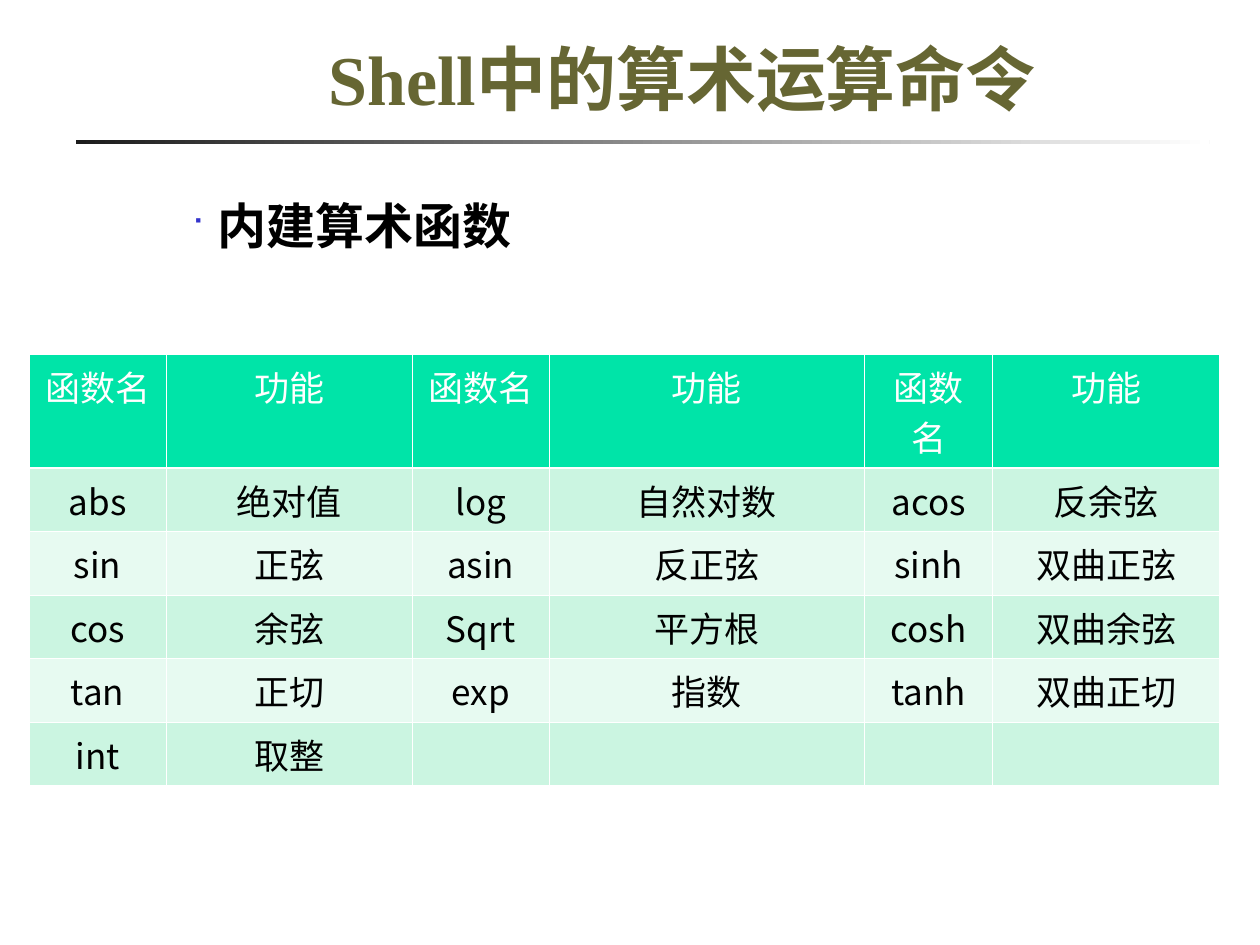
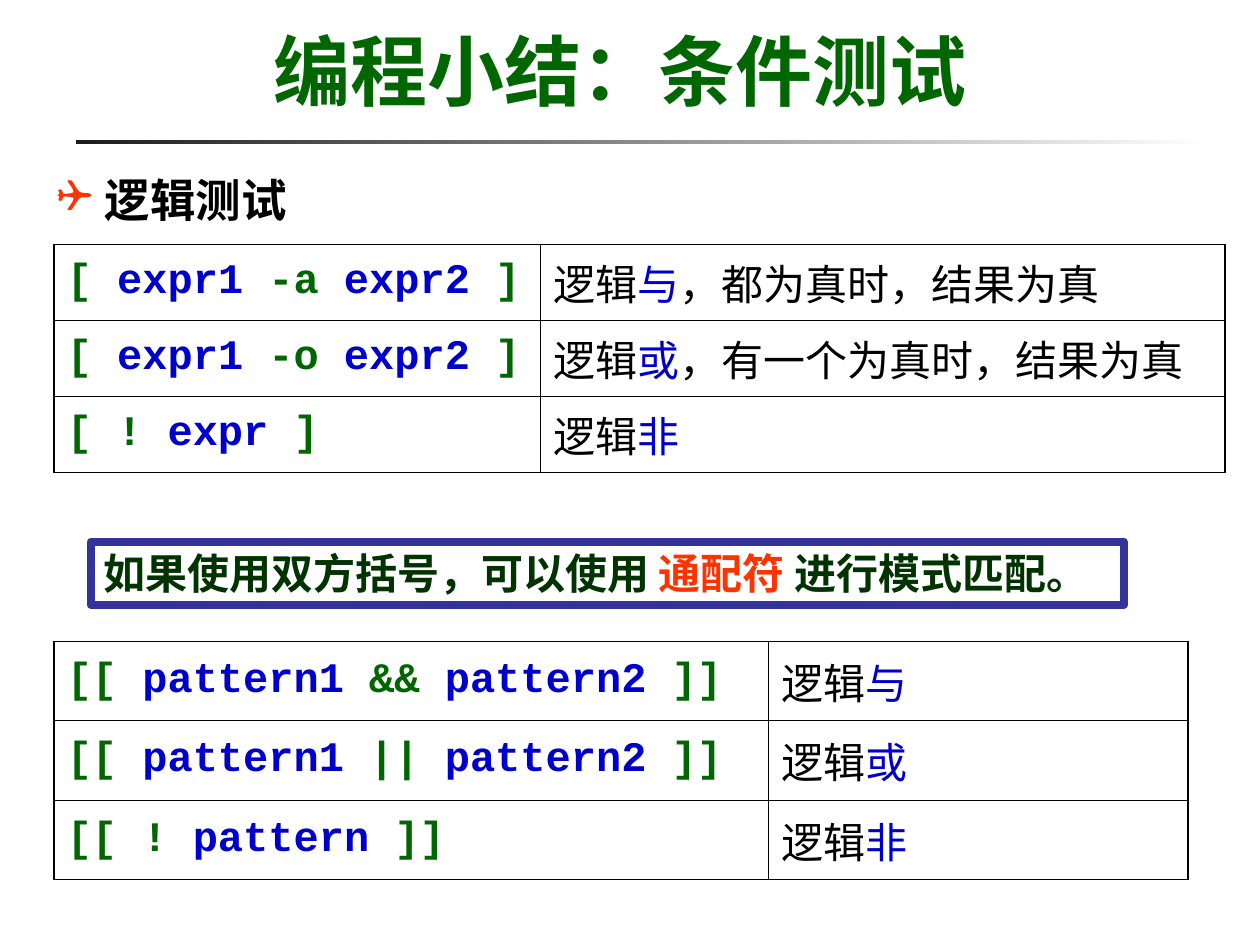
from dataclasses import dataclass
from itertools import cycle
from typing import NamedTuple, Sequence

from lxml import etree
from pptx import Presentation
from pptx.dml.color import RGBColor
from pptx.enum import shapes, text
from pptx.oxml import ns
from pptx.util import Inches, Pt


@dataclass(frozen=True)
class Theme:
    black: str = "000000"
    white: str = "FFFFFF"
    rule: str = "1C1C1C"
    olive: str = "666633"
    green: str = "006600"
    dark_green: str = "003300"
    blue: str = "0000CC"
    bullet_blue: str = "3333CC"
    frame_blue: str = "333399"
    red: str = "FF3300"
    header: str = "00E4A8"
    band_dark: str = "CBF5E1"
    band_light: str = "E7FAF1"
    sans: str = "Noto Sans CJK SC"
    serif: str = "Times New Roman"
    mono: str = "Courier New"
    heading: str = "Roboto"
    thin: float = 0.45
    outline: float = 1.08
    header_line: float = 1.47
    frame_line: float = 4.5
    cell_size: int = 20
    code_size: int = 24
    logic_size: int = 26
    heading_size: int = 28
    title_size: int = 40
    summary_title_size: int = 44


T = Theme()


class Box(NamedTuple):
    left: float
    top: float
    width: float
    height: float

    def emu(self) -> tuple:
        return tuple(Inches(v) for v in self)


class Bullet(NamedTuple):
    char: str
    color: str
    indent: float
    percent: int = 100


class LogicTable(NamedTuple):
    box: Box
    columns: Sequence[float]
    rows: Sequence[tuple]  # (code parts, description parts)


FUNCTIONS = [
    ("函数名", "功能", "函数名", "功能", "函数名", "功能"),
    ("abs", "绝对值", "log", "自然对数", "acos", "反余弦"),
    ("sin", "正弦", "asin", "反正弦", "sinh", "双曲正弦"),
    ("cos", "余弦", "Sqrt", "平方根", "cosh", "双曲余弦"),
    ("tan", "正切", "exp", "指数", "tanh", "双曲正切"),
    ("int", "取整", "", "", "", ""),
]

LOGIC_TABLES = [
    LogicTable(Box(0.43, 5.09, 9, 1.89), (5.67, 3.33), [
        (("[[ ", "pattern1 ", "&& ", "pattern2 ", "]]"), ("逻辑", "与")),
        (("[[ ", "pattern1 ", "|| ", "pattern2 ", "]]"), ("逻辑", "或")),
        (("[[ ! ", "pattern ", "]]"), ("逻辑", "非")),
    ]),
    LogicTable(Box(0.43, 1.94, 9.29, 1.81), (3.86, 5.43), [
        (("[ ", "expr1 ", "-a ", "expr2 ", "]"), ("逻辑", "与", "，都为真时，结果为真")),
        (("[ ", "expr1 ", "-o ", "expr2 ", "]"), ("逻辑", "或", "，有一个为真时，结果为真")),
        (("[ ! ", "expr ", "]"), ("逻辑", "非")),
    ]),
]


def rgb(color: str) -> RGBColor:
    return RGBColor.from_string(color)


def add_bullet(p, bullet: Bullet) -> None:
    pPr = p._p.get_or_add_pPr()
    pPr.set("marL", str(Inches(bullet.indent)))
    pPr.set("indent", str(-Inches(bullet.indent)))
    color = etree.SubElement(pPr, ns.qn("a:buClr"))
    etree.SubElement(color, ns.qn("a:srgbClr"), val=bullet.color)
    etree.SubElement(pPr, ns.qn("a:buSzPct"), val=str(bullet.percent * 1000))
    etree.SubElement(pPr, ns.qn("a:buFont"), typeface="Wingdings")
    etree.SubElement(pPr, ns.qn("a:buChar"), char=bullet.char)


def write(tf, *parts: str, size: float, colors: Sequence[str], fonts: Sequence[str] = (T.sans,),
          bold: bool = False, align=text.PP_ALIGN.LEFT, line_spacing: float = 1.0,
          bullet: Bullet | None = None) -> None:
    """Write one paragraph whose parts take the colours and fonts in turn."""
    p = tf.paragraphs[0]
    p.alignment = align
    p.line_spacing = line_spacing
    p.space_before = Pt(0)
    if bullet:
        add_bullet(p, bullet)
    for part, color, font in zip(parts, cycle(colors), cycle(fonts)):
        r = p.add_run()
        r.text = part
        r.font.size, r.font.bold, r.font.name = Pt(size), bold, font
        r.font.color.rgb = rgb(color)
        etree.SubElement(r._r.get_or_add_rPr(), ns.qn("a:ea"), typeface=T.sans)


def place(sp, box: Box, *, anchor=text.MSO_ANCHOR.TOP, grow: bool = False, wrap: bool = True):
    """Move a shape, set up its text frame and return the frame."""
    sp.left, sp.top, sp.width, sp.height = box.emu()
    tf = sp.text_frame
    tf.word_wrap = wrap
    tf.auto_size = text.MSO_AUTO_SIZE.SHAPE_TO_FIT_TEXT if grow else text.MSO_AUTO_SIZE.NONE
    tf.vertical_anchor = anchor
    return tf


def add_base_slide(prs):
    """Add a title-and-list slide with the fading rule under the title."""
    s = prs.slides.add_slide(prs.slide_layouts[1])
    rule = s.shapes.add_shape(shapes.MSO_SHAPE.RECTANGLE, *Box(0.6, 1.11, 9, 0.03).emu())
    rule.shadow.inherit = False
    rule.line.fill.background()
    rule.fill.gradient()
    rule.fill.gradient_angle = 0
    for stop, color, position in zip(rule.fill.gradient_stops, (T.rule, T.white), (0, 1)):
        stop.color.rgb = rgb(color)
        stop.position = position
    return s


def write_title(s, box: Box, *parts: str, grow: bool = False, **style) -> None:
    tf = place(s.shapes.title, box, anchor=text.MSO_ANCHOR.BOTTOM, grow=grow)
    write(tf, *parts, bold=True, align=text.PP_ALIGN.CENTER, **style)


def add_table(s, box: Box, columns: Sequence[float], heights: Sequence[float]):
    table = s.shapes.add_table(len(heights), len(columns), *box.emu()).table
    table.first_row = table.horz_banding = False
    for column, width in zip(table.columns, columns):
        column.width = Inches(width)
    for row, height in zip(table.rows, heights):
        row.height = Inches(height)
    return table


def set_borders(cell, color: str, left: float, right: float, top: float, bottom: float) -> None:
    """Draw the four borders, widths in points; call before filling the cell."""
    tcPr = cell._tc.get_or_add_tcPr()
    for side, width in zip("LRTB", (left, right, top, bottom)):
        ln = etree.SubElement(tcPr, ns.qn(f"a:ln{side}"), w=str(Pt(width)))
        fill = etree.SubElement(ln, ns.qn("a:solidFill"))
        etree.SubElement(fill, ns.qn("a:srgbClr"), val=color)


def add_function_table(s) -> None:
    table = add_table(s, Box(0.23, 2.81, 9.45, 2.93), (1.09, 1.95, 1.09, 2.5, 1.02, 1.8),
                      [0.77] + [0.43] * 5)
    for i, row in enumerate(FUNCTIONS):
        fill = T.header if i == 0 else T.band_dark if i % 2 else T.band_light
        top = T.header_line if i == 1 else T.thin
        bottom = T.header_line if i == 0 else T.thin
        for j, label in enumerate(row):
            cell = table.cell(i, j)
            set_borders(cell, T.white, T.thin, T.thin, top, bottom)
            cell.fill.solid()
            cell.fill.fore_color.rgb = rgb(fill)
            if label:
                write(cell.text_frame, label, size=T.cell_size, align=text.PP_ALIGN.CENTER,
                      colors=(T.black if i else T.white,))


def add_logic_table(s, logic: LogicTable) -> None:
    count = len(logic.rows)
    table = add_table(s, logic.box, logic.columns, [logic.box.height / count] * count)
    for i, (code, description) in enumerate(logic.rows):
        top = T.thin if i else T.outline
        bottom = T.outline if i == count - 1 else T.thin
        code_cell, text_cell = table.cell(i, 0), table.cell(i, 1)
        set_borders(code_cell, T.black, T.outline, T.thin, top, bottom)
        set_borders(text_cell, T.black, T.thin, T.outline, top, bottom)
        for cell in (code_cell, text_cell):
            cell.fill.background()
            cell.vertical_anchor = text.MSO_ANCHOR.MIDDLE
        write(code_cell.text_frame, *code, size=T.code_size, bold=True,
              colors=(T.green, T.blue), fonts=(T.mono,))
        write(text_cell.text_frame, *description, size=T.code_size,
              colors=(T.black, T.blue), fonts=(T.serif,))


def add_wildcard_note(s) -> None:
    box = Box(0.72, 4.3, 8.2, 0.5)
    sp = s.shapes.add_shape(shapes.MSO_SHAPE.RECTANGLE, *box.emu())
    sp.shadow.inherit = False
    sp.fill.background()
    sp.line.color.rgb = rgb(T.frame_blue)
    sp.line.width = Pt(T.frame_line)
    write(place(sp, box, grow=True, wrap=False),
          "如果使用双方括号，可以使用 ", "通配符", " 进行模式匹配。",
          size=T.code_size, bold=True, colors=(T.dark_green, T.red))


def build_functions_slide(prs) -> None:
    s = add_base_slide(prs)
    write_title(s, Box(1.5, 0.17, 7.83, 0.83), "Shell中的算术运算命令",
                size=T.title_size, colors=(T.olive,), fonts=(T.serif,))
    write(place(s.placeholders[1], Box(1.42, 1.5, 8.08, 5.04)), "内建算术函数",
          size=T.heading_size, bold=True, colors=(T.black,), fonts=(T.heading,),
          bullet=Bullet("■", T.bullet_blue, 0.21, 60))
    add_function_table(s)


def build_tests_slide(prs) -> None:
    s = add_base_slide(prs)
    write_title(s, Box(1.42, 0.13, 7, 0.84), "编程小结：", "条件测试", grow=True,
                size=T.summary_title_size, colors=(T.green,), fonts=(T.sans, T.mono))
    write(place(s.placeholders[1], Box(0.35, 1.23, 3.35, 0.62), grow=True), "逻辑测试",
          size=T.logic_size, bold=True, colors=(T.black,), fonts=(T.serif,),
          line_spacing=1.2, bullet=Bullet("❑", T.red, 0.38))
    add_wildcard_note(s)
    for logic in LOGIC_TABLES:
        add_logic_table(s, logic)


def main() -> None:
    prs = Presentation()
    prs.slide_width, prs.slide_height = Inches(10), Inches(7.5)
    build_functions_slide(prs)
    build_tests_slide(prs)
    prs.save("out.pptx")


if __name__ == "__main__":
    main()
